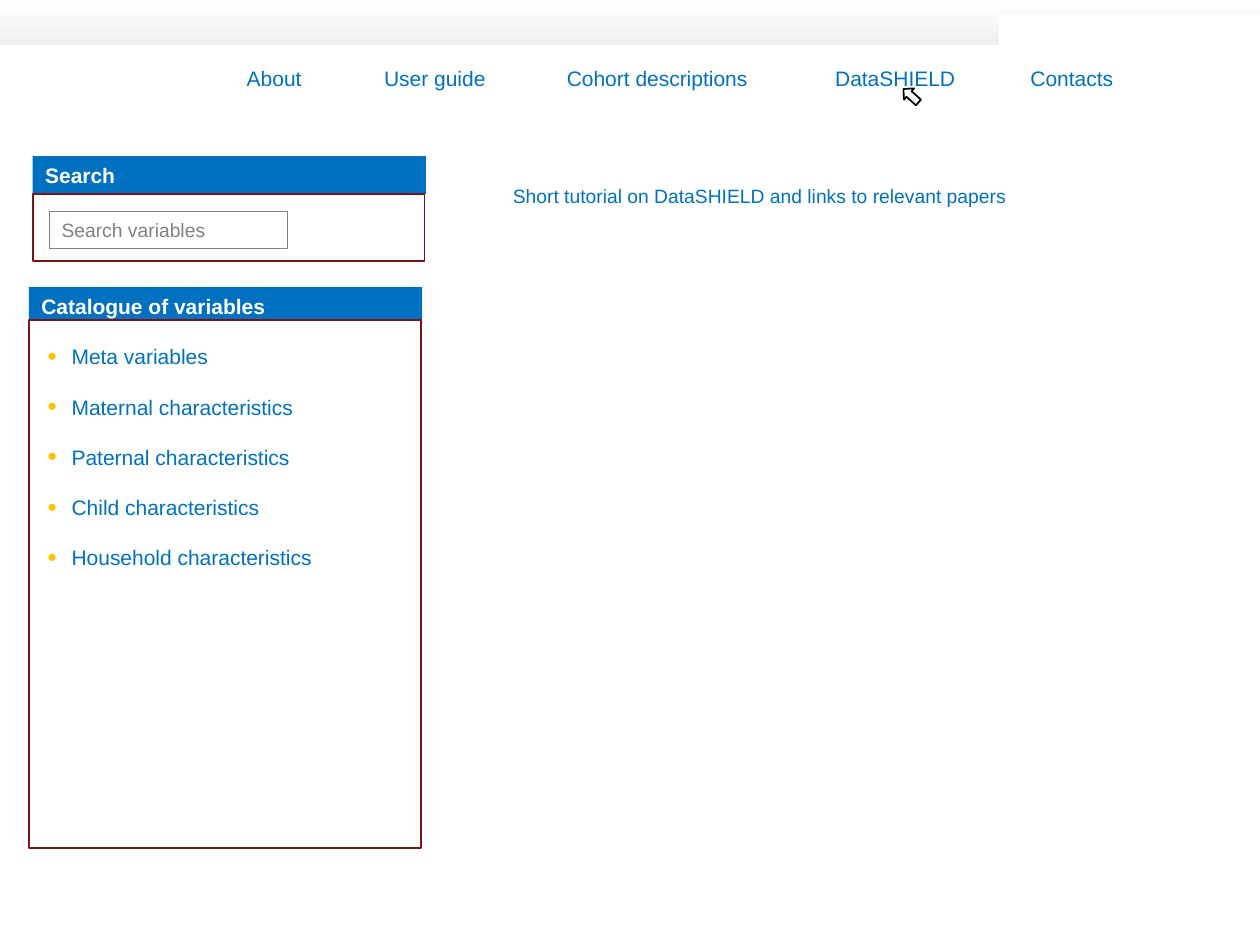
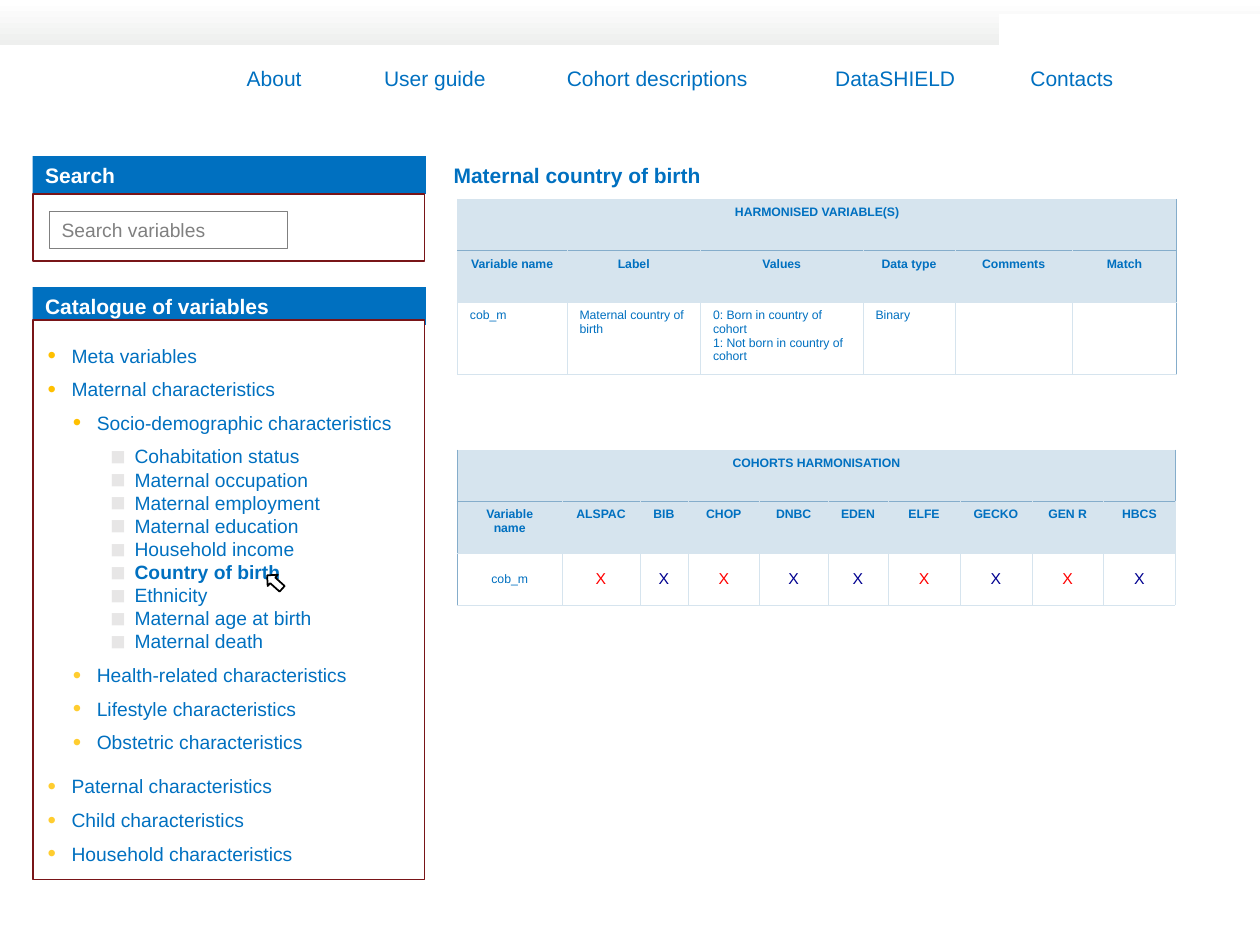
from dataclasses import dataclass

from lxml.etree import SubElement
from pptx import Presentation
from pptx.dml.color import RGBColor
from pptx.enum.shapes import MSO_SHAPE
from pptx.enum.text import MSO_ANCHOR, MSO_AUTO_SIZE, PP_ALIGN
from pptx.oxml.ns import qn
from pptx.util import Emu, Inches, Pt


@dataclass(frozen=True)
class Theme:
    """Colours, font and type sizes shared by the pages."""
    font: str = "Arial"
    blue: str = "0070C0"
    white: str = "FFFFFF"
    band: str = "EEEFEE"
    frame: str = "791518"
    grey: str = "808080"
    black: str = "000000"
    gold: str = "FFC000"
    pale_gold: str = "FFCD2F"
    square: str = "E7E6E6"
    cell: str = "D6E4EE"
    rule: str = "85ADCB"
    red: str = "FF0000"
    navy: str = "000090"
    large: float = 12
    medium: float = 11
    mark: float = 9
    small: float = 7


@dataclass(frozen=True)
class Entry:
    """One line of the catalogue list."""
    text: str
    indent: float = 0.19
    level: int = 0
    bullet: str = "•"
    colour: str = Theme.gold
    before: float = 0
    after: float = 6
    bold: bool = False


THEME = Theme()
WIDTH, HEIGHT = Inches(10), Inches(7.5)
COLUMN, ROW = WIDTH / 100, HEIGHT / 75

MENU = ("About", "User guide", "Cohort descriptions", "DataSHIELD", "Contacts")
MENU_STOPS = (10.9, 25.4, 46.7, 62.2)
MAIN_TOPICS = ("Meta variables", "Maternal characteristics", "Paternal characteristics",
               "Child characteristics", "Household characteristics")
MATERNAL_VARIABLES = ("Cohabitation status", "Maternal occupation", "Maternal employment",
                      "Maternal education", "Household income", "Country of birth",
                      "Ethnicity", "Maternal age at birth", "Maternal death")
MATERNAL_TOPICS = ("Health-related characteristics", "Lifestyle characteristics",
                   "Obstetric characteristics")
COHORT_MARKS = {"ALSPAC": THEME.red, "BIB": THEME.navy, "CHOP": THEME.red,
                "DNBC": THEME.navy, "EDEN": THEME.navy, "ELFE": THEME.red,
                "GECKO": THEME.navy, "GEN R": THEME.red, "HBCS": THEME.navy}


def rgb(colour):
    """Turn a hexadecimal colour into a colour object."""
    return RGBColor.from_string(colour)


def place(left, top, width, height):
    """Turn grid columns and rows into slide lengths."""
    return (Emu(round(left * COLUMN)), Emu(round(top * ROW)),
            Emu(round(width * COLUMN)), Emu(round(height * ROW)))


def style(para, size, colour=THEME.blue, bold=False):
    """Format every run of a paragraph."""
    for span in para.runs:
        font = span.font
        font.name, font.size, font.bold = THEME.font, Pt(size), bold
        font.color.rgb = rgb(colour)


def add_box(page, area, fill=None, line=None, weight=1, shape=MSO_SHAPE.RECTANGLE):
    """Draw a preset shape without a shadow."""
    box = page.shapes.add_shape(shape, *place(*area))
    box.shadow.inherit = False
    if fill:
        box.fill.solid()
        box.fill.fore_color.rgb = rgb(fill)
    else:
        box.fill.background()
    if line:
        box.line.color.rgb = rgb(line)
        box.line.width = Pt(weight)
    else:
        box.line.fill.background()
    return box


def write(box, text, size, colour=THEME.blue, bold=False):
    """Set one left-aligned line of text in a shape."""
    frame = box.text_frame
    frame.word_wrap = True
    frame.auto_size = MSO_AUTO_SIZE.NONE
    frame.vertical_anchor = MSO_ANCHOR.MIDDLE
    frame.text = text
    para = frame.paragraphs[0]
    para.alignment = PP_ALIGN.LEFT
    style(para, size, colour, bold)
    return para


def add_header(page):
    """Draw the grey top band and the menu."""
    band = add_box(page, (0, 0, 100, 3.6), THEME.band)
    band.fill.gradient()
    band.fill.gradient_angle = 270
    for stop, colour in zip(band.fill.gradient_stops, (THEME.white, THEME.band)):
        stop.color.rgb = rgb(colour)
    add_box(page, (79.3, 1.1, 20.7, 6.4), THEME.white)
    menu = page.shapes.add_textbox(*place(18.6, 4.7, 75.9, 3))
    para = write(menu, "\t".join(MENU), THEME.large)
    tabs = SubElement(para._p.get_or_add_pPr(), qn("a:tabLst"))
    for stop in MENU_STOPS:
        SubElement(tabs, qn("a:tab"), pos=str(round(stop * COLUMN)), algn="l")


def add_panel(page, left, top, heading, offset, height):
    """Draw a blue heading bar with a framed panel below it."""
    bar = add_box(page, (left, top, 31.2, 3), THEME.blue)
    write(bar, heading, THEME.large, THEME.white, bold=True)
    add_box(page, (left, top + offset, 31.1, height), THEME.white, THEME.frame)


def add_bullet(para, entry):
    """Give a paragraph its indent and coloured bullet."""
    props = para._p.get_or_add_pPr()
    props.set("marL", str(Inches(entry.indent)))
    props.set("indent", str(-Inches(0.19)))
    colour = SubElement(props, qn("a:buClr"))
    SubElement(colour, qn("a:srgbClr"), val=entry.colour)
    SubElement(props, qn("a:buSzPct"), val="125000")
    SubElement(props, qn("a:buFont"), typeface=THEME.font)
    SubElement(props, qn("a:buChar"), char=entry.bullet)


def add_list(page, entries, size, height):
    """Write the catalogue entries as one bulleted list."""
    frame = page.shapes.add_textbox(*place(2.8, 26.8, 30, height)).text_frame
    frame.word_wrap = True
    for index, entry in enumerate(entries):
        para = frame.add_paragraph() if index else frame.paragraphs[0]
        para.text = entry.text
        para.level = entry.level
        add_bullet(para, entry)
        para.line_spacing = Pt(1.2 * size)
        para.space_before, para.space_after = Pt(entry.before), Pt(entry.after)
        style(para, size, bold=entry.bold)


def add_pointer(page, left, top):
    """Draw the mouse pointer."""
    pointer = add_box(page, (left, top, 1.2, 1.6), THEME.white, THEME.black,
                      shape=MSO_SHAPE.UP_ARROW)
    pointer.rotation = 312


def set_borders(cell, strong):
    """Draw the four cell borders, with the named sides strong."""
    props = cell._tc.get_or_add_tcPr()
    for index, side in enumerate("LRTB"):
        colour, weight = (THEME.rule, 1) if side in strong else (THEME.cell, 0.25)
        line = SubElement(props, qn(f"a:ln{side}"), w=str(Pt(weight)))
        fill = SubElement(line, qn("a:solidFill"))
        SubElement(fill, qn("a:srgbClr"), val=colour)
        props.remove(line)
        props.insert(index, line)


def strong_sides(row, column, last, outer):
    """Name the strong borders of a cell, given the table's strong outer side."""
    sides = {0: "BR", 1: "T"}.get(row, "")
    if outer == "L" and column == 0:
        sides += "L"
    if outer == "R" and column == last:
        sides += "R"
    return sides


def add_grid(page, top, title, columns, values, last_height, outer):
    """Add a table with a title row, a heading row and one row of values."""
    heights = (4.1, 4.1, last_height)
    area = place(36.3, top, sum(columns.values()), sum(heights))
    table = page.shapes.add_table(3, len(columns), *area).table
    for column, width in zip(table.columns, columns.values()):
        column.width = Emu(round(width * COLUMN))
    for row, height in zip(table.rows, heights):
        row.height = Emu(round(height * ROW))
    table.cell(0, 0).merge(table.cell(0, len(columns) - 1))
    titles = [title] + [""] * (len(columns) - 1)
    for row, texts in enumerate((titles, columns, values)):
        for column, text in enumerate(texts):
            cell = table.cell(row, column)
            cell.text = text
            if row < 2:
                cell.fill.solid()
                cell.fill.fore_color.rgb = rgb(THEME.cell)
            else:
                cell.fill.background()
            for para in cell.text_frame.paragraphs:
                para.alignment = PP_ALIGN.CENTER if row < 2 else PP_ALIGN.LEFT
                para.font.size = Pt(THEME.small)
                style(para, THEME.small, bold=row < 2)
            set_borders(cell, strong_sides(row, column, len(columns) - 1, outer))
    return table


def mark_cohorts(table):
    """Centre the value row and colour the mark of each cohort."""
    for column, colour in enumerate((THEME.blue, *COHORT_MARKS.values())):
        cell = table.cell(2, column)
        cell.vertical_anchor = MSO_ANCHOR.MIDDLE
        para = cell.text_frame.paragraphs[0]
        para.alignment = PP_ALIGN.CENTER
        style(para, THEME.mark if column else THEME.small, colour)


def add_page(deck, title, area, size, bold, catalogue_left, catalogue_height):
    """Add a page with its title, header, search panel and catalogue panel."""
    page = deck.slides.add_slide(deck.slide_layouts.get_by_name("Title Only"))
    heading = page.shapes.title
    heading.left, heading.top, heading.width, heading.height = place(*area)
    write(heading, title, size, bold=bold)
    add_header(page)
    add_panel(page, 2.6, 12.4, "Search", 3, 5.3)
    field = add_box(page, (3.9, 16.8, 18.9, 2.9), line=THEME.grey, weight=0.75)
    write(field, "Search variables", THEME.medium, THEME.grey)
    add_panel(page, catalogue_left, 22.8, "Catalogue of variables", 2.6, catalogue_height)
    return page


def maternal_entries():
    """List the catalogue with the maternal topics opened."""
    meta, maternal, *others = MAIN_TOPICS
    entries = [Entry(meta), Entry(maternal),
               Entry("Socio-demographic characteristics", 0.39, 1)]
    entries += [Entry(name, 0.69, 1, "◼", THEME.square, after=0,
                      bold=name == "Country of birth") for name in MATERNAL_VARIABLES]
    for names, indent, level in ((MATERNAL_TOPICS, 0.39, 1), (others, 0.19, 0)):
        entries += [Entry(name, indent, level, colour=THEME.pale_gold,
                          before=0 if index else 6) for index, name in enumerate(names)]
    return entries


def build_tutorial(deck):
    """Build the tutorial page."""
    page = add_page(deck, "Short tutorial on DataSHIELD and links to relevant papers",
                    (39.7, 14.1, 55.5, 2.9), THEME.medium, False, 2.3, 41.9)
    add_list(page, [Entry(name, after=14.3) for name in MAIN_TOPICS], THEME.large, 19.2)
    add_pointer(page, 71.7, 6.8)


def build_birth_country(deck):
    """Build the page on the maternal country of birth."""
    page = add_page(deck, "Maternal country of birth", (35, 12.4, 22.6, 3),
                    THEME.large, True, 2.6, 44.4)
    add_list(page, maternal_entries(), THEME.medium, 43)
    add_pointer(page, 21.2, 45.4)
    variable_columns = {"Variable name": 8.7, "Label": 10.6, "Values": 12.9,
                        "Data type": 7.3, "Comments": 9.3, "Match": 8.3}
    values = ("cob_m", "Maternal country of birth",
              "0: Born in country of cohort\n1: Not born in country of cohort",
              "Binary", "", "")
    add_grid(page, 15.8, "HARMONISED VARIABLE(S)", variable_columns, values, 5.7, "R")
    widths = (6.2, 3.8, 5.7, 5.4, 4.8, 5.7, 5.7, 5.7, 5.7)
    cohort_columns = {"Variable name": 8.3, **dict(zip(COHORT_MARKS, widths))}
    marks = ["cob_m"] + ["X"] * len(COHORT_MARKS)
    mark_cohorts(add_grid(page, 35.7, "COHORTS HARMONISATION", cohort_columns,
                          marks, 4.1, "L"))


def main():
    """Build and save the deck."""
    deck = Presentation()
    deck.slide_width, deck.slide_height = WIDTH, HEIGHT
    build_tutorial(deck)
    build_birth_country(deck)
    deck.save("out.pptx")


if __name__ == "__main__":
    main()
